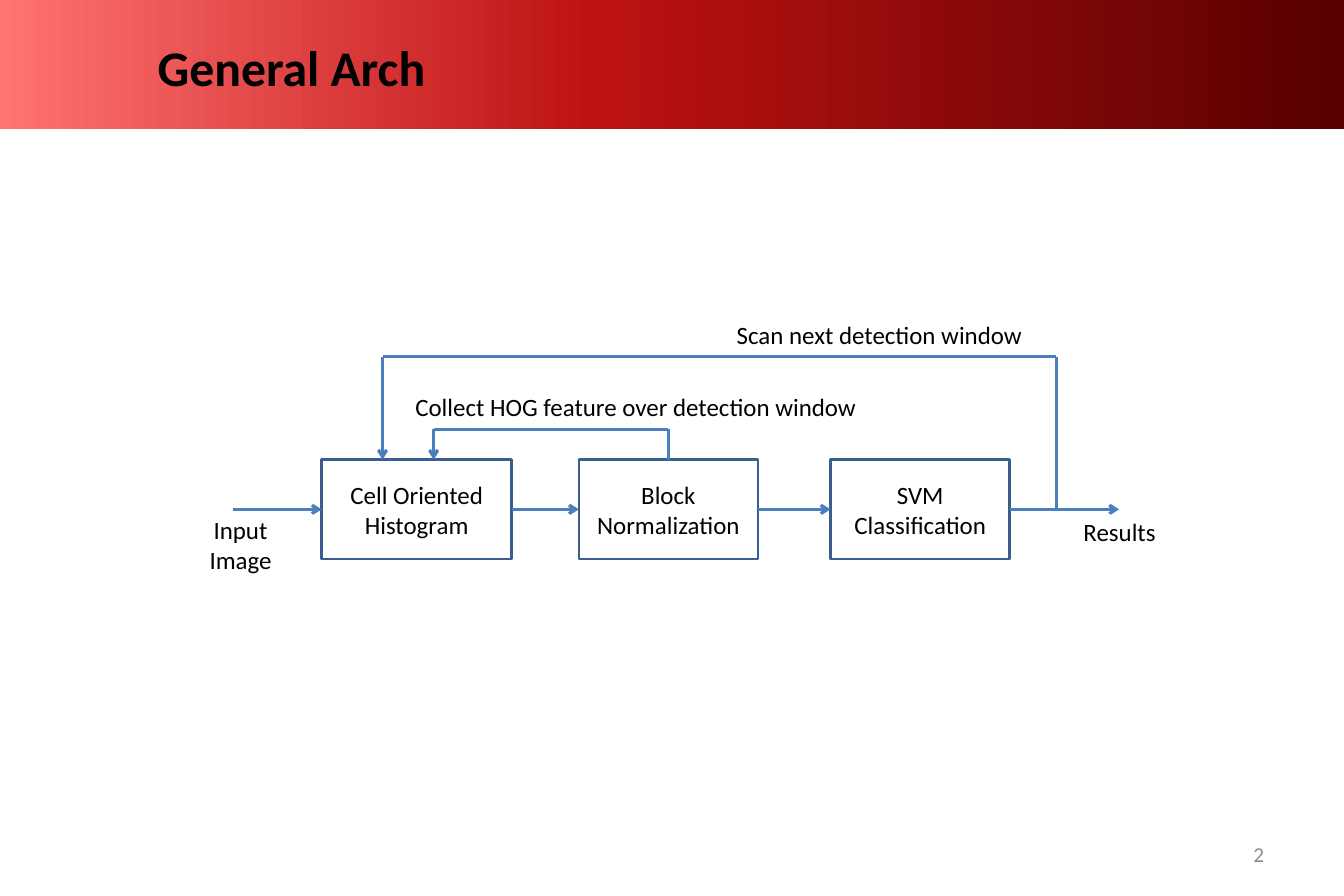
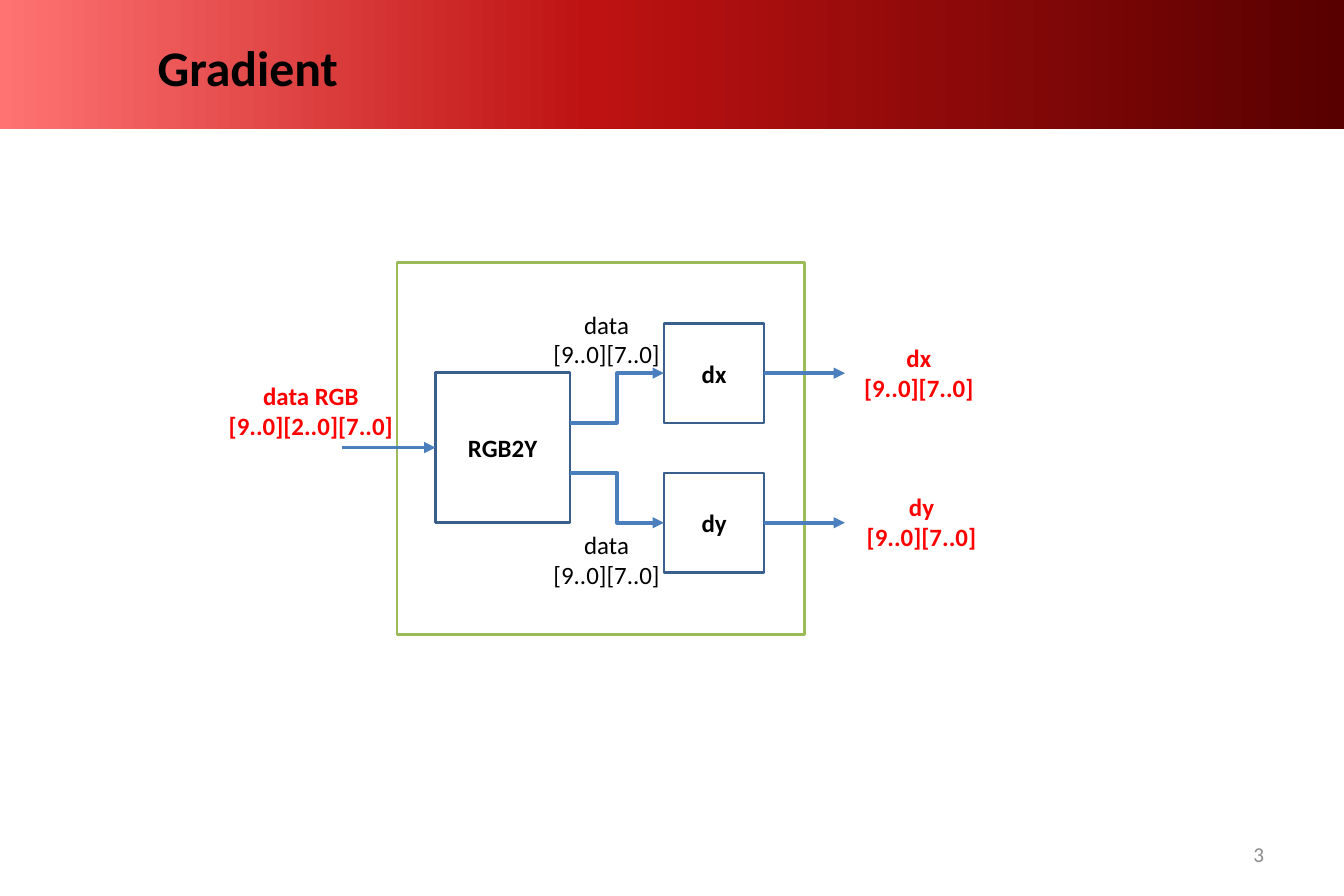
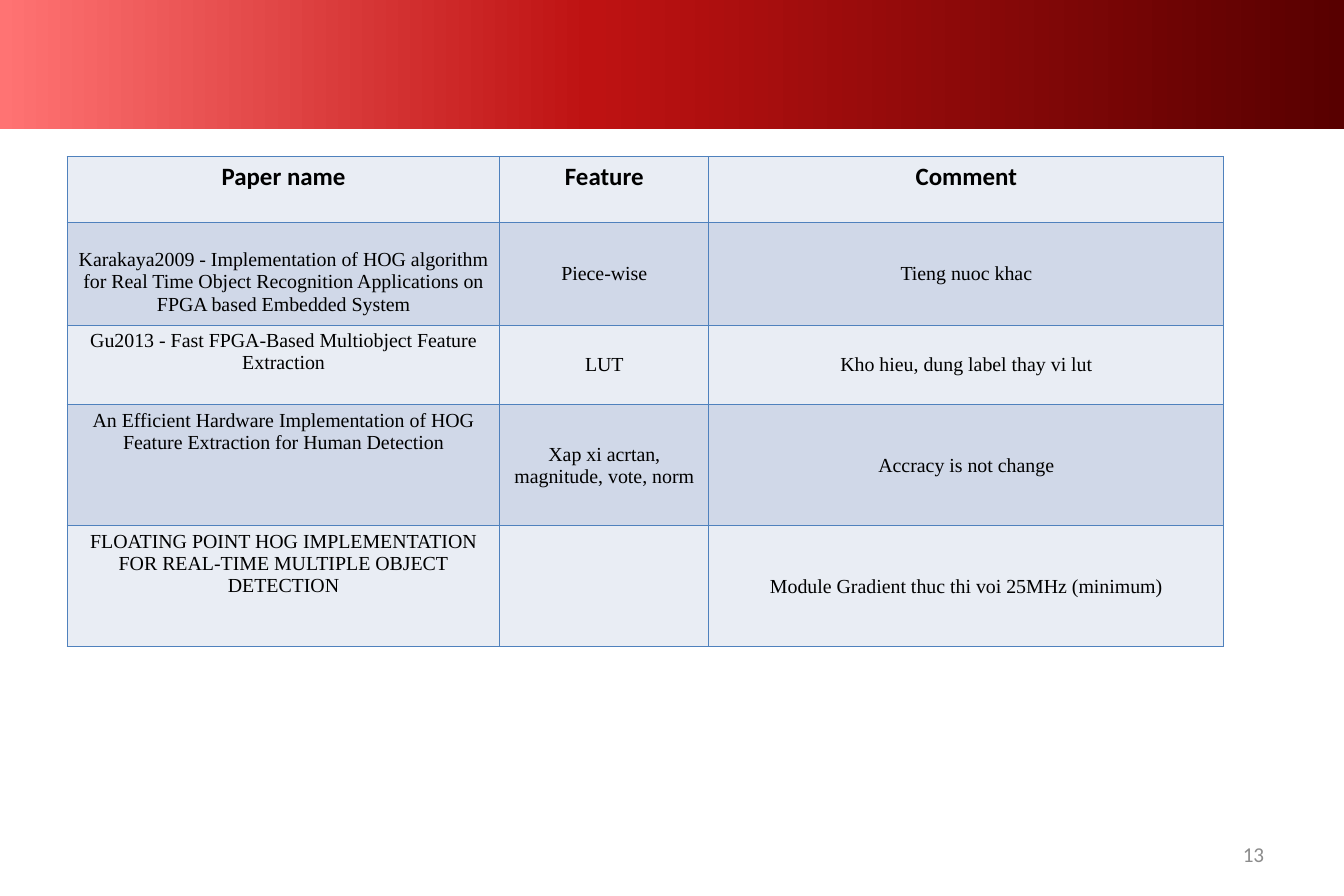
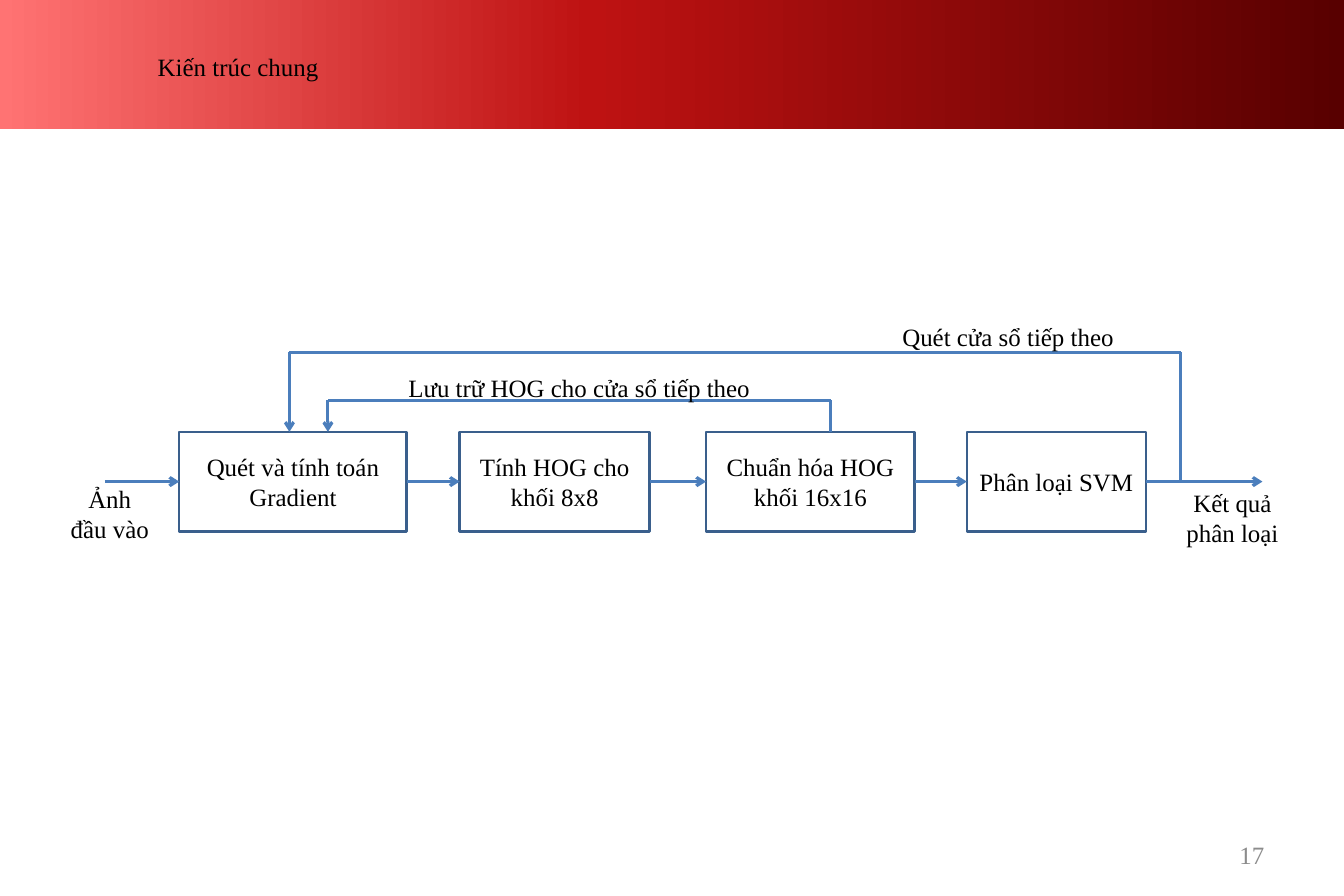
from dataclasses import dataclass

from lxml.etree import SubElement
from pptx import Presentation
from pptx.dml.color import RGBColor
from pptx.enum.shapes import MSO_CONNECTOR, MSO_SHAPE
from pptx.enum.text import MSO_ANCHOR, PP_ALIGN
from pptx.oxml.ns import qn
from pptx.util import Inches, Pt


@dataclass(frozen=True)
class Theme:
    """Colours, fonts and sizes shared by all pages."""
    sans: str = "Calibri"
    serif: str = "Times New Roman"
    ink: str = "000000"
    accent: str = "FF0000"
    muted: str = "8C8C8C"
    paper: str = "FFFFFF"
    outline: str = "3A5F8C"
    arrow: str = "4B7EBC"
    frame: str = "9BBB59"
    grid: str = "4F81BD"
    row_fills: tuple = ("E9EDF4", "D0D8E8")
    band: tuple = ((0, "FF7373"), (44, "BE1212"), (100, "580000"))
    title_size: int = 40
    body_size: int = 20
    cell_size: int = 16
    number_size: int = 17
    outline_width: float = 2
    flow_width: float = 2.5
    signal_width: float = 3


THEME = Theme()
PAGE_WIDTH, PAGE_HEIGHT, BAND_HEIGHT = 15, 10, 1.44
STAGE_HEIGHT = 1.11

# Stages: text, left, width. Loops: from x, start ("top" or "middle"), height, to x.
# Labels: text, left, top, width, height, alignment.
GENERAL_FLOW = {
    "font": THEME.sans,
    "top": 5.13,
    "ends": (2.6, 12.49),
    "stages": [
        ("Cell Oriented Histogram", 3.59, 2.12),
        ("Block Normalization", 6.46, 2),
        ("SVM Classification", 9.27, 2),
    ],
    "loops": [(7.46, "top", 4.79, 4.84), (11.79, "middle", 3.98, 4.27)],
    "labels": [
        ("Collect HOG feature over detection window", 4.29, 4.3, 5.61, 0.48, PP_ALIGN.CENTER),
        ("Scan next detection window", 7.83, 3.5, 3.97, 0.48, PP_ALIGN.CENTER),
        ("Input Image", 2, 5.67, 1.37, 0.82, PP_ALIGN.CENTER),
        ("Results", 11.54, 5.7, 1.91, 0.48, PP_ALIGN.CENTER),
    ],
}
VIETNAMESE_FLOW = {
    "font": THEME.serif,
    "top": 4.82,
    "ends": (1.17, 14.09),
    "stages": [
        ("Quét và tính toán Gradient", 2, 2.54),
        ("Tính HOG cho khối 8x8", 5.13, 2.12),
        ("Chuẩn hóa HOG khối 16x16", 7.88, 2.33),
        ("Phân loại SVM", 10.79, 2),
    ],
    "loops": [(9.27, "top", 4.47, 3.66), (13.18, "middle", 3.93, 3.23)],
    "labels": [
        ("Lưu trữ HOG cho cửa sổ tiếp theo", 3.66, 4.09, 5.61, 0.48, PP_ALIGN.CENTER),
        ("Quét cửa sổ tiếp theo", 9.93, 3.52, 3.25, 0.48, PP_ALIGN.LEFT),
        ("Ảnh\nđầu vào", 0.54, 5.33, 1.37, 0.82, PP_ALIGN.CENTER),
        ("Kết quả\nphân loại", 12.8, 5.37, 1.91, 0.82, PP_ALIGN.CENTER),
    ],
}

GRADIENT_FRAME = (4.43, 2.93, 4.55, 4.15)
CONVERTER = ("RGB2Y", (4.86, 4.16, 1.5, 1.67))
CONVERTER_INPUT = ("data RGB\n[9..0][2..0][7..0]", (2.27, 4.18, 2.4, 0.82))
CHANNEL_DATA = "data\n[9..0][7..0]"
# Name, box top, height where the signal leaves the converter, data label top, result left.
CHANNELS = [("dx", 3.61, 4.72, 3.38, 9.43), ("dy", 5.28, 5.28, 5.84, 9.46)]

PAPER_COLUMNS = [4.83, 2.33, 5.75]
PAPER_ROWS = [0.73, 0.8, 0.89, 1.35, 1.35]
PAPERS = [
    ("Paper name", "Feature", "Comment"),
    ("Karakaya2009 - Implementation of HOG algorithm for Real Time Object "
     "Recognition Applications on FPGA based Embedded System",
     "Piece-wise", "Tieng nuoc khac"),
    ("Gu2013 - Fast FPGA-Based Multiobject Feature\nExtraction",
     "LUT", "Kho hieu, dung label thay vi lut"),
    ("An Efficient Hardware Implementation of HOG\nFeature Extraction for Human Detection",
     "Xap xi acrtan, magnitude, vote, norm", "Accracy is not change"),
    ("FLOATING POINT HOG IMPLEMENTATION FOR REAL-TIME MULTIPLE OBJECT\nDETECTION",
     "", "Module Gradient thuc thi voi 25MHz (minimum)"),
]
LOWERED_ROW = 1


def colour(value):
    """Turn a hex string into a colour."""
    return RGBColor.from_string(value)


def write(frame, text, size=THEME.body_size, font=THEME.sans, ink=THEME.ink,
          bold=False, align=PP_ALIGN.CENTER):
    """Fill a text frame, one paragraph per line of text."""
    frame.text = text
    for para in frame.paragraphs:
        para.alignment = align
        para.font.name, para.font.size = font, Pt(size)
        para.font.bold, para.font.color.rgb = bold, colour(ink)


def fit(frame, anchor):
    """Give a text frame the common insets, wrapping and anchor."""
    frame.word_wrap = True
    frame.vertical_anchor = anchor
    frame.margin_left = frame.margin_right = Inches(0.14)
    frame.margin_top = frame.margin_bottom = Inches(0.07)


def add_text(page, text, place, anchor=MSO_ANCHOR.TOP, **style):
    """Add a text box at left, top, width, height."""
    box = page.shapes.add_textbox(*map(Inches, place))
    fit(box.text_frame, anchor)
    write(box.text_frame, text, **style)


def add_box(page, place, outline=THEME.outline, fill=THEME.paper, text="", **style):
    """Add an outlined rectangle with centred text."""
    box = page.shapes.add_shape(MSO_SHAPE.RECTANGLE, *map(Inches, place))
    box.shadow.inherit = False
    box.line.color.rgb = colour(outline)
    box.line.width = Pt(THEME.outline_width)
    if fill:
        box.fill.solid()
        box.fill.fore_color.rgb = colour(fill)
    else:
        box.fill.background()
    if text:
        fit(box.text_frame, MSO_ANCHOR.MIDDLE)
        write(box.text_frame, text, **style)


def add_line(page, start, end, width, head=None, kind=MSO_CONNECTOR.STRAIGHT):
    """Add a connector, with an arrowhead at its end if one is named."""
    line = page.shapes.add_connector(kind, *map(Inches, (*start, *end)))
    line.line.color.rgb = colour(THEME.arrow)
    line.line.width = Pt(width)
    properties = line._element.spPr
    if head:
        SubElement(properties.find(qn("a:ln")), qn("a:tailEnd"), type=head)
    SubElement(properties, qn("a:effectLst"))


def add_route(page, points):
    """Join points by lines, the last one ending in an arrow."""
    legs = list(zip(points, points[1:]))
    for number, (start, end) in enumerate(legs, 1):
        head = "arrow" if number == len(legs) else None
        add_line(page, start, end, THEME.flow_width, head)


def add_band(page):
    """Draw the gradient band and hand it to the layout, for all pages."""
    band = page.shapes.add_shape(MSO_SHAPE.RECTANGLE, 0, 0, Inches(PAGE_WIDTH),
                                 Inches(BAND_HEIGHT))
    band.shadow.inherit = False
    band.line.fill.background()
    band.fill.gradient()
    gradient = band._element.spPr.find(qn("a:gradFill"))
    gradient.find(qn("a:lin")).set("ang", "0")
    stops = gradient.find(qn("a:gsLst"))
    for stop in list(stops):
        stops.remove(stop)
    for position, value in THEME.band:
        stop = SubElement(stops, qn("a:gs"), pos=str(position * 1000))
        SubElement(stop, qn("a:srgbClr"), val=value)
    band._element.nvSpPr.cNvPr.set("id", "100")
    page.slide_layout.shapes._spTree.insert(2, band._element)


def add_page(deck, number, title="", title_style=None, number_style=None):
    """Add a page with its title and number."""
    page = deck.slides.add_slide(deck.slide_layouts[6])
    if title:
        style = title_style or {"size": THEME.title_size, "bold": True}
        add_text(page, title, (1.62, 0.22, 12.62, 1.04), MSO_ANCHOR.MIDDLE,
                 align=PP_ALIGN.LEFT, **style)
    style = number_style or {"size": THEME.number_size}
    add_text(page, str(number), (10.75, 9.27, 3.5, 0.53), MSO_ANCHOR.MIDDLE,
             align=PP_ALIGN.RIGHT, ink=THEME.muted, **style)
    return page


def draw_flow(page, flow):
    """Draw stages in a row, arrows between them, and feedback loops."""
    top, font = flow["top"], flow["font"]
    middle = top + STAGE_HEIGHT / 2
    first, last = flow["ends"]
    starts, ends = [first], []
    for text, left, width in flow["stages"]:
        add_box(page, (left, top, width, STAGE_HEIGHT), text=text, font=font)
        ends.append(left)
        starts.append(left + width)
    ends.append(last)
    for start, end in zip(starts, ends):
        add_route(page, [(start, middle), (end, middle)])
    levels = {"top": top, "middle": middle}
    for start, level, height, end in flow["loops"]:
        add_route(page, [(start, levels[level]), (start, height), (end, height), (end, top)])
    for text, *place, align in flow["labels"]:
        add_text(page, text, place, font=font, align=align)


def draw_gradient(page):
    """Draw the converter feeding the two derivative channels."""
    name, place = CONVERTER
    left, top, width, height = place
    middle, right = top + height / 2, left + width
    channel_left, channel_size = 7.41, 1.12
    output, output_end = channel_left + channel_size, 9.43
    arrow = {"width": THEME.signal_width, "head": "triangle"}
    signal = {"ink": THEME.accent, "bold": True}

    add_box(page, GRADIENT_FRAME, outline=THEME.frame, fill=None)
    add_box(page, place, text=name, bold=True)
    add_text(page, *CONVERTER_INPUT, **signal)
    add_line(page, (3.82, middle), (left, middle), **arrow)
    for name, box_top, exit_height, data_top, result_left in CHANNELS:
        centre = box_top + STAGE_HEIGHT / 2
        add_box(page, (channel_left, box_top, channel_size, STAGE_HEIGHT), text=name, bold=True)
        add_line(page, (right, exit_height), (channel_left, centre),
                 kind=MSO_CONNECTOR.ELBOW, **arrow)
        add_line(page, (output, centre), (output_end, centre), **arrow)
        add_text(page, CHANNEL_DATA, (6.02, data_top, 1.5, 0.82))
        add_text(page, f"{name}\n[9..0][7..0]", (result_left, box_top + 0.14, 1.65, 0.82), **signal)


def add_borders(cell):
    """Draw a thin line on all four sides of a table cell."""
    properties = cell._tc.get_or_add_tcPr()
    for index, side in enumerate(("a:lnL", "a:lnR", "a:lnT", "a:lnB")):
        border = SubElement(properties, qn(side), w=str(Pt(1)))
        fill = SubElement(border, qn("a:solidFill"))
        SubElement(fill, qn("a:srgbClr"), val=THEME.grid)
        properties.insert(index, border)


def draw_papers(page):
    """Draw the table of papers with alternating row fills."""
    place = (0.75, 1.75, sum(PAPER_COLUMNS), sum(PAPER_ROWS))
    table = page.shapes.add_table(len(PAPER_ROWS), len(PAPER_COLUMNS),
                                  *map(Inches, place)).table
    for column, width in zip(table.columns, PAPER_COLUMNS):
        column.width = Inches(width)
    for row, height in zip(table.rows, PAPER_ROWS):
        row.height = Inches(height)
    heading = {"bold": True}
    body = {"size": THEME.cell_size, "font": THEME.serif}
    for row, texts in enumerate(PAPERS):
        for column, text in enumerate(texts):
            cell = table.cell(row, column)
            write(cell.text_frame, text, **(body if row else heading))
            cell.fill.solid()
            cell.fill.fore_color.rgb = colour(THEME.row_fills[row % 2])
            if row and column:
                cell.vertical_anchor = MSO_ANCHOR.MIDDLE
            add_borders(cell)
    table.cell(LOWERED_ROW, 0).margin_top = Inches(0.3)


def main():
    """Build the deck and save it."""
    deck = Presentation()
    deck.slide_width, deck.slide_height = Inches(PAGE_WIDTH), Inches(PAGE_HEIGHT)
    general = add_page(deck, 2, "General Arch")
    add_band(general)
    draw_flow(general, GENERAL_FLOW)
    draw_gradient(add_page(deck, 3, "Gradient"))
    draw_papers(add_page(deck, 13))
    serif = {"font": THEME.serif}
    draw_flow(add_page(deck, 17, "Kiến trúc chung", serif, serif), VIETNAMESE_FLOW)
    deck.save("out.pptx")


main()
